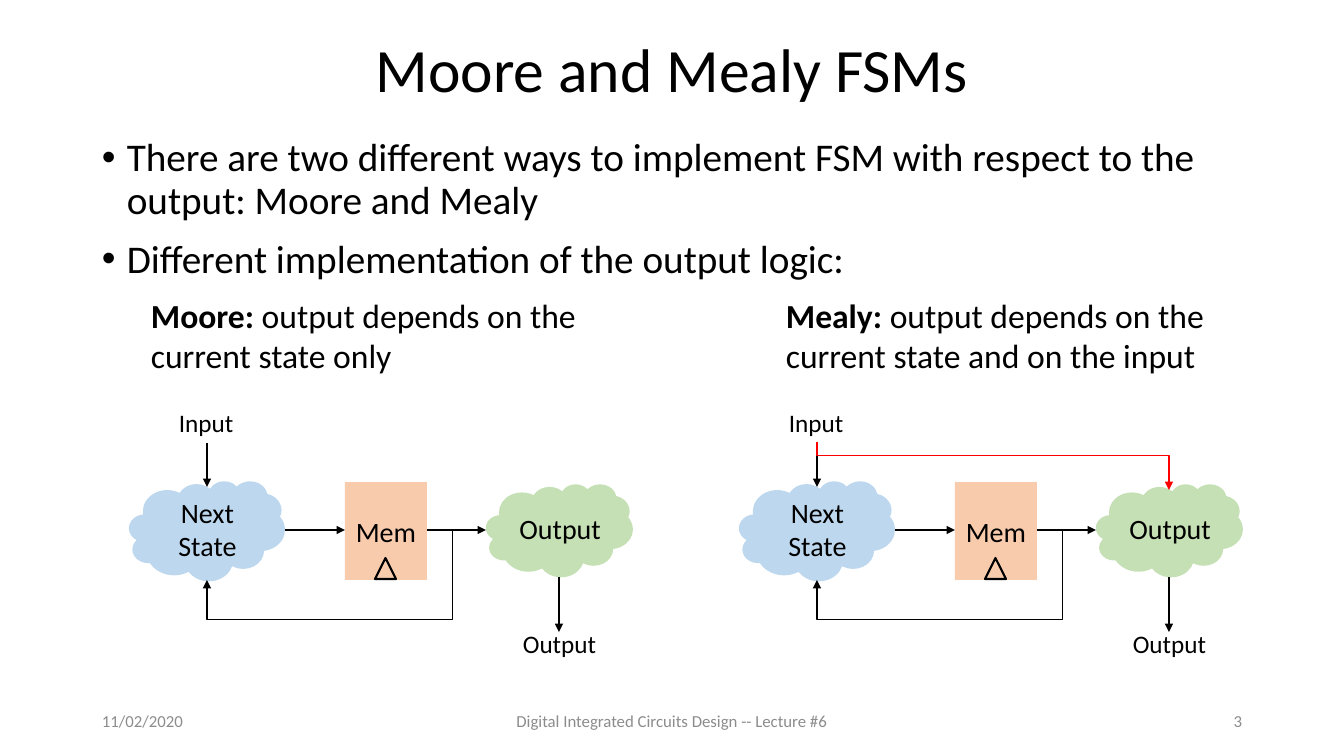
import pptx
import pptx.util
import pptx.dml.color
import pptx.enum.shapes
import pptx.enum.text
import pptx.oxml.ns
import lxml.etree

PX = 914400 / 100.8
KIND = pptx.enum.shapes.MSO_SHAPE
LINK = pptx.enum.shapes.MSO_CONNECTOR
ALIGN = pptx.enum.text.PP_ALIGN
MID = pptx.enum.text.MSO_ANCHOR.MIDDLE
qn = pptx.oxml.ns.qn
HEX = {"ink": "000000", "grey": "8C8C8C", "mem": "F8CBAD",
       "next": "BDD7EE", "out": "C5E0B4", "red": "FF0000"}


def emu(*nums):
    return [round(n * PX) for n in nums]


def rgb(name):
    return pptx.dml.color.RGBColor.from_string(HEX[name])


def say(shape, text, size, lead="", color="ink", align=ALIGN.LEFT, mid=False,
        wrap=True, inset=None, indent=0, bullet=False, tight=False):
    frame = shape.text_frame
    frame.word_wrap = wrap
    frame.vertical_anchor = MID if mid else pptx.enum.text.MSO_ANCHOR.TOP
    if inset is not None:
        frame.margin_left = frame.margin_right = inset
        frame.margin_top = frame.margin_bottom = inset
    for i, line in enumerate(text.split("\n")):
        par = frame.add_paragraph() if i else frame.paragraphs[0]
        par.alignment = align
        if tight:
            par.line_spacing = 0.9
        props = par._p.get_or_add_pPr()
        if indent:
            props.set("marL", str(emu(indent)[0]))
        if bullet:
            par.space_before = pptx.util.Pt(12)
            props.set("indent", str(emu(-indent)[0]))
            lxml.etree.SubElement(props, qn("a:buFont")).set("typeface", "Arial")
            lxml.etree.SubElement(props, qn("a:buChar")).set("char", "•")
        for words, bold in ((lead, True), (line, False)):
            if words:
                run = par.add_run()
                run.text = words
                font = run.font
                font.name, font.size, font.bold = "Calibri", pptx.util.Pt(size), bold
                font.color.rgb = rgb(color)


def arrow(group, ends, color="ink", bend=None, adjust=()):
    link = group.shapes.add_connector(LINK.ELBOW if bend else LINK.STRAIGHT, *emu(*ends))
    link.line.width = pptx.util.Pt(1)
    link.line.color.rgb = rgb(color)
    tip = lxml.etree.SubElement(link.line._get_or_add_ln(), qn("a:tailEnd"))
    tip.set("type", "triangle")
    props = link._element.spPr
    lxml.etree.SubElement(props, qn("a:effectLst"))
    if bend:
        geom = props.find(qn("a:prstGeom"))
        geom.set("prst", bend)
        guides = geom.find(qn("a:avLst"))
        if guides is None:
            guides = lxml.etree.SubElement(geom, qn("a:avLst"))
        for i, value in enumerate(adjust, 1):
            guide = lxml.etree.SubElement(guides, qn("a:gd"))
            guide.set("name", f"adj{i}")
            guide.set("fmla", f"val {value}")
    return link


deck = pptx.Presentation()
deck.slide_width, deck.slide_height = emu(1344, 756)
slide = deck.slides.add_slide(deck.slide_layouts[6])
box = slide.shapes.add_textbox

# Title and bullets
say(box(*emu(92, 33, 1160, 80)), "Moore and Mealy FSMs", 44,
    align=ALIGN.CENTER, mid=True, tight=True)
say(box(*emu(92, 133, 1160, 164)),
    "There are two different ways to implement FSM with respect to the output: "
    "Moore and Mealy\nDifferent implementation of the output logic:",
    28, indent=25, bullet=True, tight=True)

# Footer
for left, width, text, align in (
        (92, 302, "11/02/2020", ALIGN.LEFT),
        (445, 454, "Digital Integrated Circuits Design -- Lecture #6", ALIGN.CENTER),
        (950, 302, "3", ALIGN.RIGHT)):
    say(box(*emu(left, 701, width, 40)), text, 12, color="grey", align=align, mid=True)

# One diagram per machine, the second shifted to the right
for shift in (0, 610):
    group = slide.shapes.add_group_shape()

    # Logic blocks and clock mark
    for kind, left, top, width, height, fill, text in (
            (KIND.RECTANGLE, 345, 482, 82, 98, "mem", "Mem"),
            (KIND.ISOSCELES_TRIANGLE, 375, 558, 21, 21, "mem", ""),
            (KIND.CLOUD, 486, 484, 147, 93, "out", "Output"),
            (KIND.CLOUD, 129, 481, 156, 100, "next", "Next State")):
        block = group.shapes.add_shape(kind, *emu(left + shift, top, width, height))
        block.shadow.inherit = False
        block.fill.solid()
        block.fill.fore_color.rgb = rgb(fill)
        if text:
            block.line.fill.background()
            cloud = kind == KIND.CLOUD
            say(block, text, 20, align=ALIGN.CENTER, mid=True,
                inset=0 if cloud else None, indent=12 if cloud else 0)
        else:
            block.line.color.rgb = rgb("ink")
            block.line.width = pptx.util.Pt(1.5)

    # Signal flow and state feedback
    for x1, y1, x2, y2 in ((285, 530, 345, 530), (427, 530, 486, 530),
                           (207, 443, 207, 487), (559, 577, 559, 632)):
        arrow(group, (x1 + shift, y1, x2 + shift, y2))
    arrow(group, (427 + shift, 530, 207 + shift, 580),
          bend="bentConnector4", adjust=(-11500, 178500))

    # Port labels
    for left, top, width, text, align in ((169, 402, 76, "Input", ALIGN.LEFT),
                                          (512, 623, 95, "Output", ALIGN.CENTER)):
        label = group.shapes.add_textbox(*emu(left + shift, top, width, 40))
        say(label, text, 18, align=align, wrap=False)

# Mealy path from input to output, turned a quarter
path = arrow(group, (1017, 290, 969, 642), color="red",
             bend="bentConnector3", adjust=(28600,))
path._element.spPr.find(qn("a:xfrm")).set("rot", "16200000")

# Captions
for left, lead, text in (
        (141, "Moore: ", "output depends on the current state only"),
        (776, "Mealy: ", "output depends on the current state and on the input")):
    say(box(*emu(left, 290, 492, 92)), text, 24, lead=lead)

deck.save("out.pptx")
